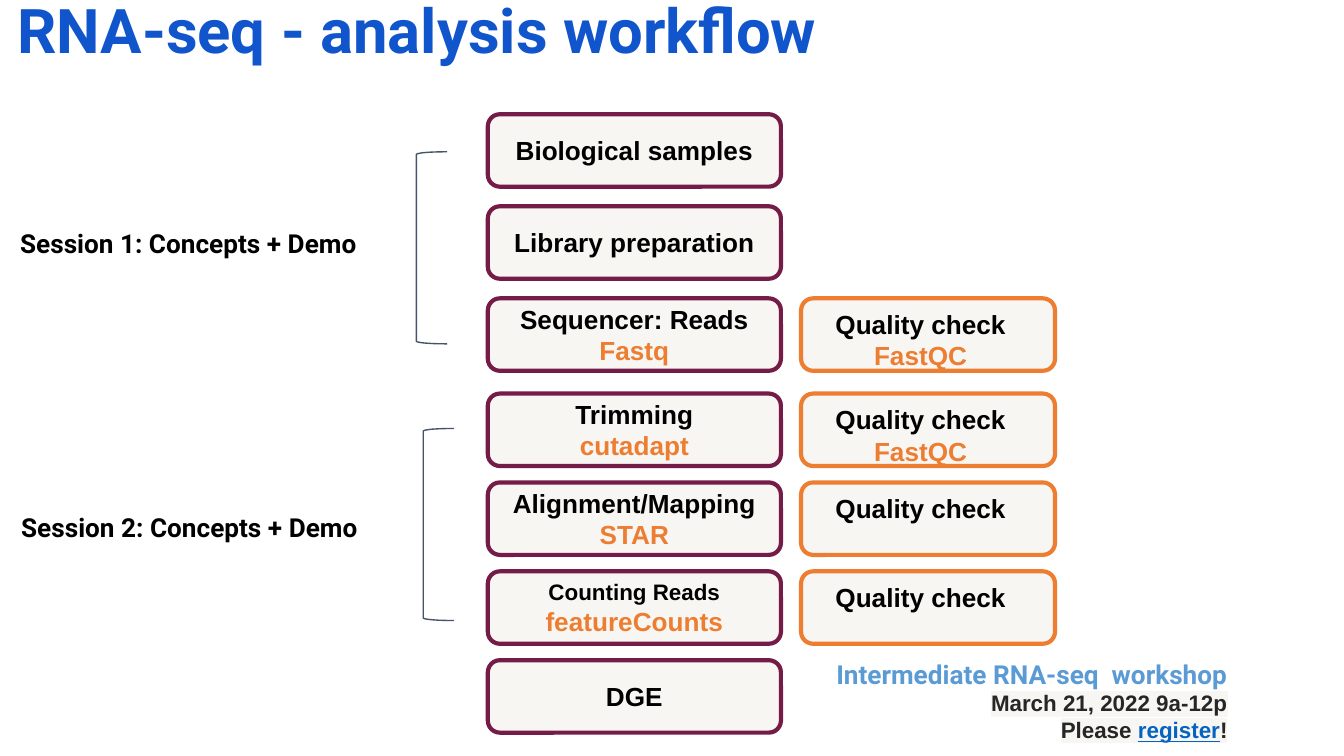
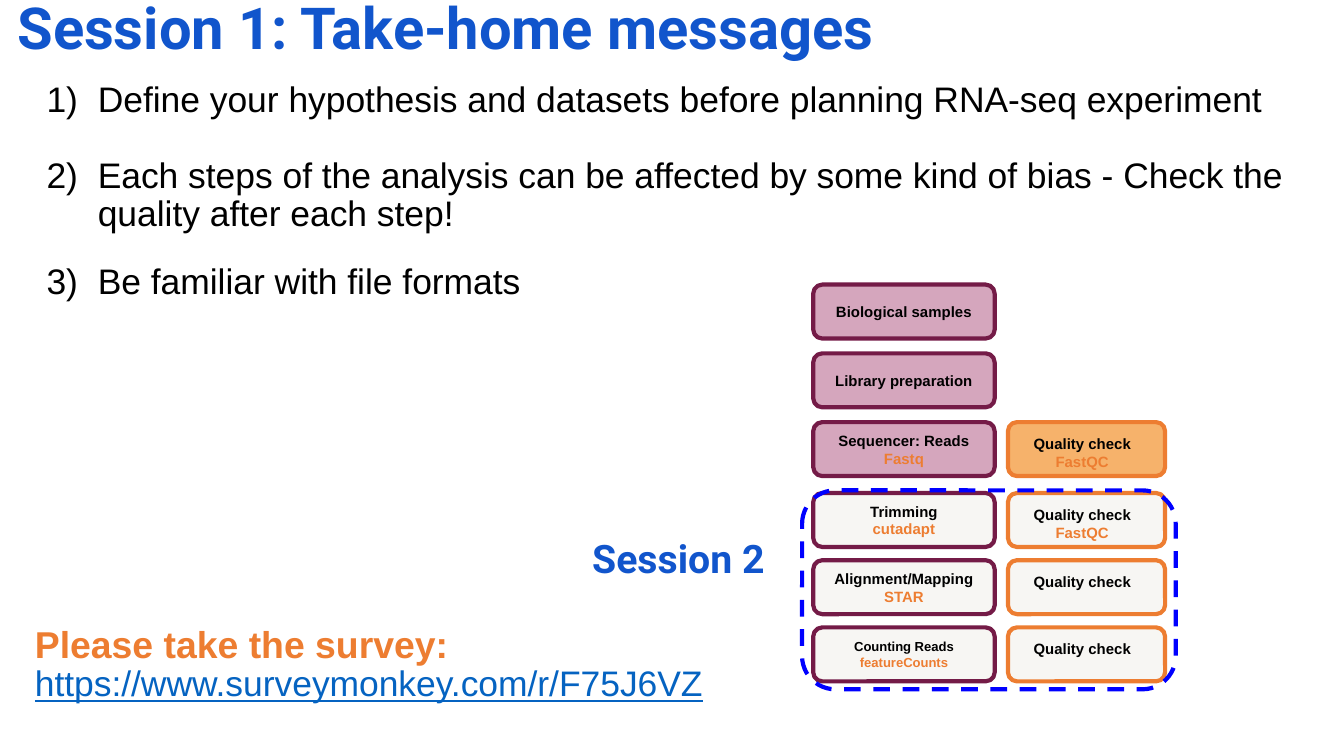
from collections import namedtuple
from dataclasses import dataclass

from lxml import etree
from pptx import Presentation
from pptx import util as u
from pptx.dml.color import RGBColor
from pptx.enum import dml, shapes, text
from pptx.oxml import ns

Style = namedtuple("Style", "size colour font bold")


@dataclass(frozen=True)
class Theme:
    heading_font: str = "Roboto"
    body_font: str = "Arial"
    blue: str = "1155CC"
    sky: str = "5B9BD5"
    link: str = "0563C1"
    frame: str = "0000FF"
    slate: str = "44546A"
    black: str = "000000"
    charcoal: str = "262626"
    paper: str = "F7F6F3"
    plum: str = "741B47"
    pink: str = "D5A6BD"
    orange: str = "ED7D31"
    apricot: str = "F6B26B"
    workflow_title: int = 33
    messages_title: int = 31
    session: int = 21
    survey: int = 20
    body: int = 19
    label: int = 14
    note: int = 12
    small_label: int = 8
    small_note: int = 7
    card_line: float = 2.25
    bracket_line: float = 0.75
    tight: float = 0.9
    inset: float = 0.25

    def heading(self, size, colour):
        return Style(size, colour, self.heading_font, True)

    def plain(self, size, colour, bold=False):
        return Style(size, colour, self.body_font, bold)


@dataclass(frozen=True)
class Flow:
    step_left: float
    step_width: float
    check_left: float
    check_width: float
    height: float
    first_top: float
    first_pitch: float
    second_top: float
    second_pitch: float
    size: int
    counting_sizes: tuple
    steps: tuple
    highlight_done: bool = False

    def top(self, row):
        if row < SESSION_ROWS:
            return self.first_top + row * self.first_pitch
        return self.second_top + (row - SESSION_ROWS) * self.second_pitch


SESSION_ROWS = 3
FIRST_CHECK_ROW = 2
LINE_CM_PER_POINT = 0.04
CHECK_SHIFT_PER_POINT = 0.02
COUNTING = "Counting Reads"
STEPS = (
    ("Biological samples",),
    ("Library preparation",),
    ("Sequencer: Reads", "Fastq"),
    ("Trimming", "cutadapt"),
    ("Alignment/Mapping", "STAR"),
    (COUNTING, "featureCounts"),
    ("DGE",),
)
CHECKS = (
    ("Quality check", "FastQC"),
    ("Quality check", "FastQC"),
    ("Quality check",),
    ("Quality check",),
)
MESSAGES = (
    ("Define your hypothesis and datasets before planning RNA-seq experiment", 0),
    ("Each steps of the analysis can be affected by some kind of bias"
     " - Check the quality after each step!", 20),
    ("Be familiar with file formats", 16),
)


class SlideBuilder:
    def __init__(self, theme):
        self.theme = theme
        self.deck = Presentation()
        self.deck.slide_width = u.Cm(25.4)
        self.deck.slide_height = u.Cm(14.29)
        self.page = None

    def set_font(self, font, style):
        font.size = u.Pt(style.size)
        font.name = style.font
        font.bold = style.bold
        font.color.rgb = RGBColor.from_string(style.colour)

    def set_margins(self, frame, left, top, right, bottom):
        frame.margin_left, frame.margin_top = u.Cm(left), u.Cm(top)
        frame.margin_right, frame.margin_bottom = u.Cm(right), u.Cm(bottom)

    def new_page(self, title, size):
        self.page = self.deck.slides.add_slide(self.deck.slide_layouts[5])
        box = self.page.shapes.title
        box.left, box.top = u.Cm(0.33), u.Cm(0)
        box.width, box.height = u.Cm(21.9), u.Cm(2.06)
        frame = box.text_frame
        frame.auto_size = text.MSO_AUTO_SIZE.NONE
        frame.vertical_anchor = text.MSO_ANCHOR.TOP
        self.set_margins(frame, 0, 0, 0, 0)
        self.fill_lines(frame, [(title, self.theme.heading(size, self.theme.blue))],
                        spacing=self.theme.tight)

    def fill_lines(self, frame, lines, align=text.PP_ALIGN.LEFT, spacing=None):
        paras = []
        for index, (words, style) in enumerate(lines):
            para = frame.add_paragraph() if index else frame.paragraphs[0]
            para.text = words
            para.alignment = align
            para.line_spacing = spacing
            self.set_font(para.font, style)
            paras.append(para)
        return paras

    def text_box(self, left, top, width, height, lines, **layout):
        box = self.page.shapes.add_textbox(
            u.Cm(left), u.Cm(top), u.Cm(width), u.Cm(height))
        frame = box.text_frame
        frame.word_wrap = True
        self.set_margins(frame, *[self.theme.inset] * 4)
        return self.fill_lines(frame, lines, **layout)

    def numbered_list(self, left, top, width, height, items, style):
        paras = self.text_box(left, top, width, height,
                              [(words, style) for words, _ in items],
                              spacing=self.theme.tight)
        for para, (_, gap) in zip(paras, items):
            para.space_before = u.Pt(gap)
            properties = para._p.get_or_add_pPr()
            properties.set("marL", str(u.Cm(1.27)))
            properties.set("indent", str(u.Cm(-0.97)))
            bullet = etree.Element(ns.qn("a:buAutoNum"), type="arabicParenR")
            properties.find(ns.qn("a:defRPr")).addprevious(bullet)

    def highlighted_span(self, para, words, colour, underline=None):
        span = para.add_run()
        span.text = words
        span.font.color.rgb = RGBColor.from_string(colour)
        span.font.underline = underline
        highlight = etree.SubElement(span._r.get_or_add_rPr(), ns.qn("a:highlight"))
        etree.SubElement(highlight, ns.qn("a:srgbClr"), val=self.theme.paper)

    def outline(self, kind, left, top, width, height, colour, weight, fill=None):
        shape = self.page.shapes.add_shape(
            kind, u.Cm(left), u.Cm(top), u.Cm(width), u.Cm(height))
        shape.shadow.inherit = False
        if fill:
            shape.fill.solid()
            shape.fill.fore_color.rgb = RGBColor.from_string(fill)
        else:
            shape.fill.background()
        shape.line.color.rgb = RGBColor.from_string(colour)
        shape.line.width = u.Pt(weight)
        return shape

    def bracket(self, left, top):
        self.outline(shapes.MSO_SHAPE.LEFT_BRACKET, left, top, 0.58, 3.63,
                     self.theme.slate, self.theme.bracket_line)

    def dashed_frame(self, left, top, width, height):
        shape = self.outline(shapes.MSO_SHAPE.ROUNDED_RECTANGLE, left, top, width,
                             height, self.theme.frame, self.theme.card_line)
        shape.line.dash_style = dml.MSO_LINE.DASH

    def card(self, left, top, width, height, colour, fill, words, sizes):
        shape = self.outline(shapes.MSO_SHAPE.ROUNDED_RECTANGLE, left, top, width,
                             height, colour, self.theme.card_line, fill)
        frame = shape.text_frame
        frame.word_wrap = True
        frame.vertical_anchor = text.MSO_ANCHOR.MIDDLE
        self.set_margins(frame, self.theme.inset, 0, self.theme.inset, 0)
        colours = (self.theme.black, self.theme.orange)
        lines = [(line, self.theme.plain(size, tint, True))
                 for line, size, tint in zip(words, sizes, colours)]
        self.fill_lines(frame, lines, align=text.PP_ALIGN.CENTER)
        return frame

    def workflow(self, flow):
        theme = self.theme
        sizes = (flow.size, flow.size)
        for row, words in enumerate(flow.steps):
            done = flow.highlight_done and row < SESSION_ROWS
            self.card(flow.step_left, flow.top(row), flow.step_width, flow.height,
                      theme.plum, theme.pink if done else theme.paper, words,
                      flow.counting_sizes if words[0] == COUNTING else sizes)
        for row, words in enumerate(CHECKS, FIRST_CHECK_ROW):
            done = flow.highlight_done and row < SESSION_ROWS
            frame = self.card(flow.check_left, flow.top(row), flow.check_width,
                              flow.height, theme.orange,
                              theme.apricot if done else theme.paper, words, sizes)
            frame.vertical_anchor = text.MSO_ANCHOR.TOP
            frame.margin_top = u.Cm(flow.height / 2 - flow.size * LINE_CM_PER_POINT)
            frame.margin_right = u.Cm(theme.inset + flow.size * CHECK_SHIFT_PER_POINT)


def workflow_page(builder):
    theme = builder.theme
    builder.new_page("RNA-seq - analysis workflow", theme.workflow_title)
    label = theme.heading(theme.label, theme.black)
    sessions = ((1, 0.13, 4.04, 7.87, 2.87), (2, 0.15, 9.42, 8.0, 8.1))
    for number, left, top, bracket_left, bracket_top in sessions:
        builder.text_box(left, top, 8.69, 1.12,
                         [(f"Session {number}: Concepts + Demo", label)])
        builder.bracket(bracket_left, bracket_top)
    builder.workflow(Flow(
        step_left=9.22, step_width=5.54, check_left=15.14, check_width=4.8,
        height=1.37, first_top=2.16, first_pitch=1.74, second_top=7.44,
        second_pitch=1.68, size=theme.label,
        counting_sizes=(theme.note, theme.label), steps=STEPS))
    note = theme.plain(theme.note, theme.charcoal, True)
    _, date, invitation = builder.text_box(
        14.76, 12.19, 8.69, 2.13,
        [("Intermediate RNA-seq  workshop", theme.heading(theme.label, theme.sky)),
         ("", note), ("", note)], align=text.PP_ALIGN.RIGHT)
    builder.highlighted_span(date, "March 21, 2022 9a-12p", theme.charcoal)
    builder.highlighted_span(invitation, "Please ", theme.charcoal)
    builder.highlighted_span(invitation, "register", theme.link, underline=True)
    builder.highlighted_span(invitation, "!", theme.charcoal)


def messages_page(builder):
    theme = builder.theme
    builder.new_page("Session 1: Take-home messages", theme.messages_title)
    builder.numbered_list(0.33, 1.3, 24.23, 5.49, MESSAGES,
                          theme.plain(theme.body, theme.black))
    builder.text_box(6.55, 9.96, 8.15, 1.32,
                     [("Session 2", theme.heading(theme.session, theme.blue))],
                     align=text.PP_ALIGN.RIGHT, spacing=theme.tight)
    builder.workflow(Flow(
        step_left=15.37, step_width=3.43, check_left=19.05, check_width=2.97,
        height=1.02, first_top=5.38, first_pitch=1.3, second_top=9.32,
        second_pitch=1.27, size=theme.small_label,
        counting_sizes=(theme.small_note, theme.small_note), steps=STEPS[:-1],
        highlight_done=True))
    builder.dashed_frame(15.16, 9.27, 7.06, 3.76)
    _, link = builder.text_box(
        0.41, 11.58, 14.07, 2.74,
        [("Please take the survey:", theme.plain(theme.survey, theme.orange, True)),
         ("https://www.surveymonkey.com/r/F75J6VZ",
          theme.plain(theme.body, theme.link))], spacing=theme.tight)
    link.font.underline = True


def main():
    builder = SlideBuilder(Theme())
    workflow_page(builder)
    messages_page(builder)
    builder.deck.save("out.pptx")


if __name__ == "__main__":
    main()
